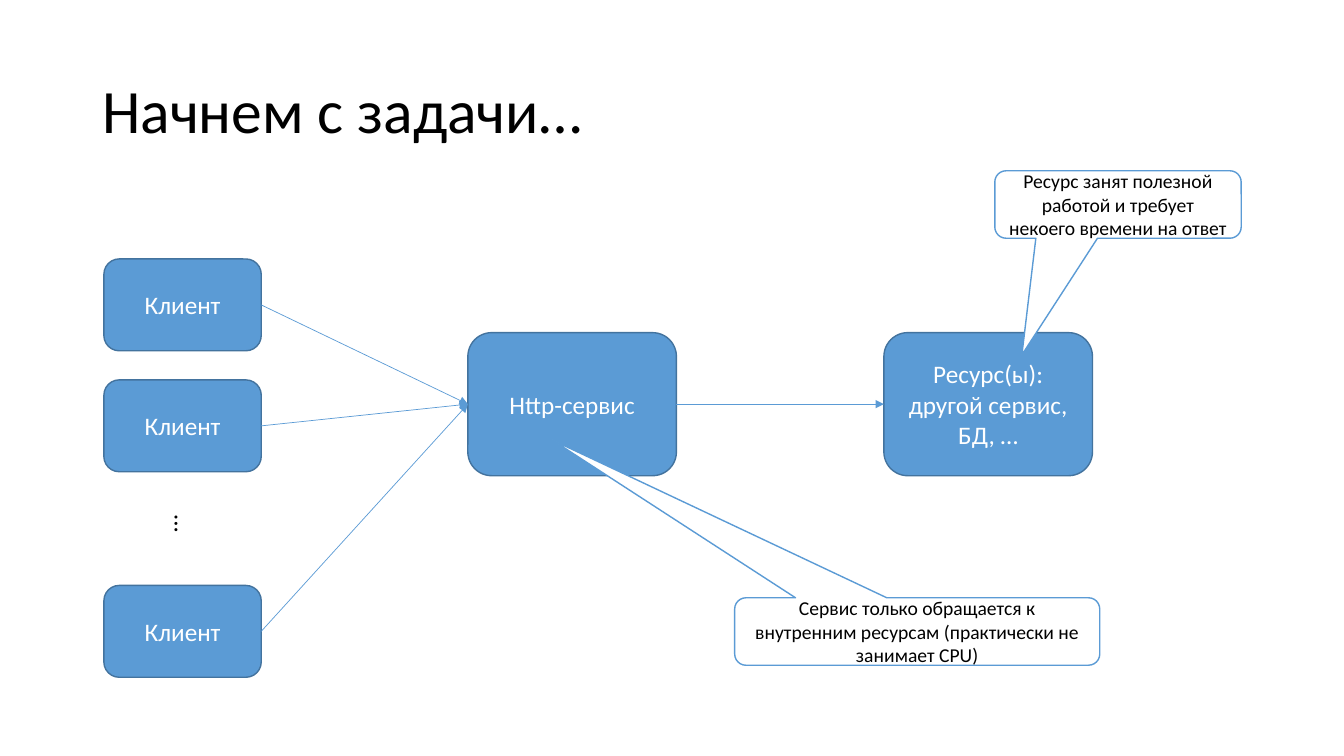
from lxml import etree
from pptx import Presentation
from pptx.dml.color import RGBColor
from pptx.enum import shapes, text
from pptx.oxml import ns
from pptx.util import Pt

BLUE = RGBColor(0x5B, 0x9B, 0xD5)
DARK_BLUE = RGBColor(0x43, 0x73, 0x9E)
WHITE = RGBColor(0xFF, 0xFF, 0xFF)
BLACK = RGBColor(0, 0, 0)
FONT = "Calibri"
LEFT, RIGHT = 1, 3  # connection sites of a rounded rectangle


def set_text(sp, words, size, color, align=None):
    tf = sp.text_frame
    tf.word_wrap = True
    tf.vertical_anchor = text.MSO_ANCHOR.MIDDLE
    p = tf.paragraphs[0]
    p.text = words
    p.alignment = align
    p.font.name, p.font.size, p.font.color.rgb = FONT, Pt(size), color
    return p


def add_block(slide, kind, box, words, size, fill, line, color):
    """Add a filled, outlined shape with centred text."""
    sp = slide.shapes.add_shape(kind, *map(Pt, box))
    sp.shadow.inherit = False
    sp.fill.solid()
    sp.fill.fore_color.rgb = fill
    sp.line.color.rgb = line
    sp.line.width = Pt(1)
    set_text(sp, words, size, color, text.PP_ALIGN.CENTER)
    return sp


def add_node(slide, box, words):
    return add_block(slide, shapes.MSO_SHAPE.ROUNDED_RECTANGLE, box, words,
                     18, BLUE, DARK_BLUE, WHITE)


def add_callout(slide, box, words, tip):
    """Add a speech bubble; tip is its offset from the centre in box sizes."""
    sp = add_block(slide, shapes.MSO_SHAPE.ROUNDED_RECTANGULAR_CALLOUT, box,
                   words, 14, WHITE, BLUE, BLACK)
    sp.adjustments[0], sp.adjustments[1] = tip


def add_arrow(slide, start, end):
    c = slide.shapes.add_connector(shapes.MSO_CONNECTOR.STRAIGHT, 0, 0, 0, 0)
    c.begin_connect(start, RIGHT)
    c.end_connect(end, LEFT)
    c.line.color.rgb = BLUE
    c.line.width = Pt(0.5)
    etree.SubElement(c.line._get_or_add_ln(), ns.qn("a:tailEnd"), type="triangle")
    etree.SubElement(c._element.spPr, ns.qn("a:effectLst"))


def add_title(slide, box):
    sp = slide.shapes.add_textbox(*map(Pt, box))
    set_text(sp, "Начнем с задачи…", 44, BLACK).line_spacing = 0.9


def add_clients(slide, box):
    """Stack the clients in the box, with an ellipsis before the last one."""
    x, y, w, h = box
    node_h = 65.6
    tops = (y, y + 86.4, y + h - node_h)
    clients = [add_node(slide, (x, top, w, node_h), "Клиент") for top in tops]
    dots = slide.shapes.add_textbox(Pt(x + 31), Pt(y + 183), Pt(36), Pt(19.4))
    set_text(dots, "…", 18, BLACK)
    dots.text_frame.word_wrap = False
    dots.text_frame.vertical_anchor = text.MSO_ANCHOR.TOP
    dots.text_frame._txBody.bodyPr.set("vert", "vert270")
    return clients


def add_diagram(slide, box):
    x, y, w, h = box
    node_y, node_w, node_h = y + 52.6, 149, 102.2
    service = add_node(slide, (x + 260, node_y, node_w, node_h), "Http-сервис")
    clients = add_clients(slide, (x, y, 112.4, h))
    resource = add_node(slide, (x + w - node_w, node_y, node_w, node_h),
                        "Ресурс(ы): другой сервис, БД, …")
    add_arrow(slide, service, resource)
    for client in clients:
        add_arrow(slide, client, service)
    add_callout(slide, (x + 450.6, y + 242, 260.8, 48.2),
                "Сервис только обращается к внутренним ресурсам "
                "(практически не занимает CPU)", (-1, -2.84))
    add_callout(slide, (x + 636.4, y - 63, 176, 48.2),
                "Ресурс занят полезной работой и требует некоего времени на ответ",
                (-0.39, 2.23))


def main():
    prs = Presentation()
    prs.slide_width, prs.slide_height = Pt(960), Pt(540)
    slide = prs.slides.add_slide(prs.slide_layouts[6])
    add_title(slide, (66, 28.8, 828, 104.4))
    add_diagram(slide, (74.2, 185, 706.2, 298.8))
    prs.save("out.pptx")


if __name__ == "__main__":
    main()
